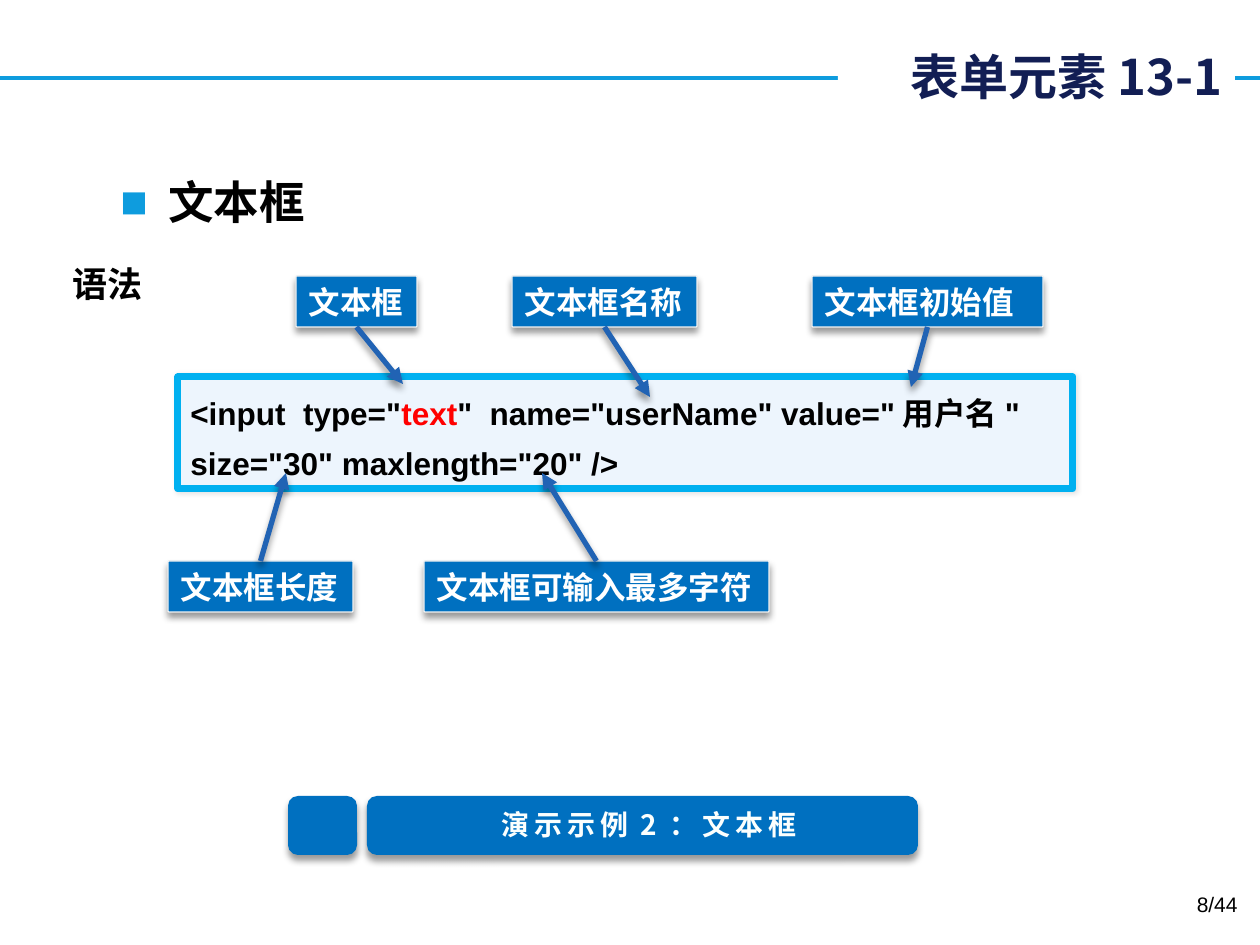
import pptx
import pptx.util
import pptx.dml.color
import pptx.enum.shapes
import pptx.enum.text
import pptx.oxml.ns
from lxml import etree

RGB = pptx.dml.color.RGBColor
Pt = pptx.util.Pt
SHAPE = pptx.enum.shapes.MSO_SHAPE
LINE = pptx.enum.shapes.MSO_CONNECTOR.STRAIGHT
ANCHOR = pptx.enum.text.MSO_ANCHOR
ALIGN = pptx.enum.text.PP_ALIGN
qn = pptx.oxml.ns.qn

BLACK = RGB(0x00, 0x00, 0x00)
WHITE = RGB(0xFF, 0xFF, 0xFF)
RED = RGB(0xFF, 0x00, 0x00)
NAVY = RGB(0x12, 0x1E, 0x54)
SKY = RGB(0x0E, 0x9C, 0xDE)
CYAN = RGB(0x00, 0xB0, 0xF0)
BLUE = RGB(0x00, 0x70, 0xC0)
ARROW = RGB(0x21, 0x63, 0xB4)
PALE = RGB(0xED, 0xF5, 0xFD)
EDGE = RGB(0xF2, 0xF2, 0xF2)
CREAM = RGB(0xFB, 0xFF, 0xFE)

CJK = "Noto Sans CJK SC"
PX = 914400 / 126
DROP = (40, 4, 3)  # opacity in percent, blur and distance in points
GLOW = (10, 3, 0)

deck = pptx.Presentation()
deck.slide_width, deck.slide_height = round(1260 * PX), round(945 * PX)
slide = deck.slides.add_slide(deck.slide_layouts[6])
shapes = slide.shapes


def shade(props, drop=None):
    """Give shape or run properties a soft shadow, or none at all."""
    effects = etree.SubElement(props, qn("a:effectLst"))
    if drop:
        alpha, blur, dist = drop
        outer = etree.SubElement(effects, qn("a:outerShdw"), blurRad=str(Pt(blur)),
                                 dist=str(Pt(dist)), dir="5400000", rotWithShape="0")
        color = etree.SubElement(outer, qn("a:srgbClr"), val="000000")
        etree.SubElement(color, qn("a:alpha"), val=str(alpha * 1000))


def box(at, runs=(), size=18, face="Arial", bold=True, kind=SHAPE.RECTANGLE, fill=None,
        edge=None, drop=None, glyph=None, frame={}, para={}):
    """Draw a shape; runs are pairs of text and colour in one paragraph."""
    shape = shapes.add_shape(kind, *[round(v * PX) for v in at])
    if fill is None:
        shape.fill.background()
    else:
        shape.fill.solid()
        shape.fill.fore_color.rgb = fill
    if edge:
        shape.line.color.rgb, shape.line.width = edge[0], Pt(edge[1])
    else:
        shape.line.fill.background()
    shade(shape._element.spPr, drop)
    text = shape.text_frame
    first = text.paragraphs[0]
    for key, value in ({"word_wrap": True, "vertical_anchor": ANCHOR.TOP} | frame).items():
        setattr(text, key, value)
    for key, value in ({"alignment": ALIGN.LEFT} | para).items():
        setattr(first, key, value)
    for words, color in runs:
        run = first.add_run()
        run.text = words
        run.font.color.rgb = color
        if glyph:
            shade(run._r.get_or_add_rPr(), glyph)
        for key, value in {"size": Pt(size), "bold": bold, "name": face}.items():
            setattr(run.font, key, value)
        etree.SubElement(run._r.rPr, qn("a:ea"), typeface=CJK)
    return shape


# Title on its rule
rule = shapes.add_connector(LINE, 0, round(78 * PX), round(1260 * PX), round(78 * PX))
rule.line.color.rgb, rule.line.width = SKY, Pt(2.25)
shade(rule._element.spPr)
box((838, 10, 397, 131), [("表单元素13-1", NAVY)], 28, CJK, fill=WHITE,
    frame={"vertical_anchor": ANCHOR.MIDDLE}, para={"alignment": ALIGN.RIGHT})

# Bullet heading
head = box((108, 168, 1053, 80), [("文本框", BLACK)], 26)
props = head.text_frame.paragraphs[0]._p.get_or_add_pPr()
props.set("marL", str(round(48 * PX)))
props.set("indent", str(round(-48 * PX)))
tint = etree.SubElement(props, qn("a:buClr"))
etree.SubElement(tint, qn("a:srgbClr"), val=str(SKY))
etree.SubElement(props, qn("a:buFont"), typeface="Arial")
etree.SubElement(props, qn("a:buChar"), char="■")

# Syntax caption
box((60, 256, 97, 55), [("语法", BLACK)], 20, CJK, glyph=DROP,
    frame={"word_wrap": False, "vertical_anchor": ANCHOR.MIDDLE})

# Code panel
code = [('<input  type="', BLACK), ("text", RED),
        ('"  name="userName" value="用户名" size="30" maxlength="20" />', BLACK)]
box((178, 377, 895, 112), code, fill=PALE, edge=(CYAN, 4), drop=GLOW,
    para={"line_spacing": 1.3})

# Labels, each with an arrow into the code
labels = [  # text, left, top, width, arrow tip
    ("文本框", 296, 276, 121, (403, 384)),
    ("文本框名称", 512, 276, 185, (650, 397)),
    ("文本框初始值", 812, 276, 231, (911, 387)),
    ("文本框长度", 168, 561, 185, (286, 473)),
    ("文本框可输入最多字符", 424, 561, 345, (542, 473)),
]
for words, left, top, width, tip in labels:
    label = box((left, top, width, 51), [(words, WHITE)], kind=SHAPE.ROUNDED_RECTANGLE,
                fill=BLUE, edge=(EDGE, 0.75), drop=DROP,
                frame={"vertical_anchor": ANCHOR.BOTTOM, "margin_right": 0})
    label.adjustments[0] = 0.02
    start = (left + width / 2, top + 51 if tip[1] > top else top)
    arrow = shapes.add_connector(LINE, *[round(v * PX) for v in start + tip])
    arrow.line.color.rgb, arrow.line.width = ARROW, Pt(3)
    etree.SubElement(arrow.line._get_or_add_ln(), qn("a:tailEnd"), type="triangle")
    shade(arrow._element.spPr, DROP)

# Demo bar
for left, width in ((288, 69), (367, 551)):
    box((left, 796, width, 59), kind=SHAPE.ROUNDED_RECTANGLE, fill=BLUE, drop=DROP)
demo = box((485, 801, 328, 47), [("演示示例2：文本框", CREAM)], 16, CJK,
           frame={"word_wrap": False}, para={"alignment": ALIGN.CENTER})
demo.text_frame.paragraphs[0].runs[0]._r.rPr.set("spc", "300")

# Page number
box((956, 885, 294, 50), [("8/44", BLACK)], 12, bold=False,
    para={"alignment": ALIGN.RIGHT})

deck.save("out.pptx")
